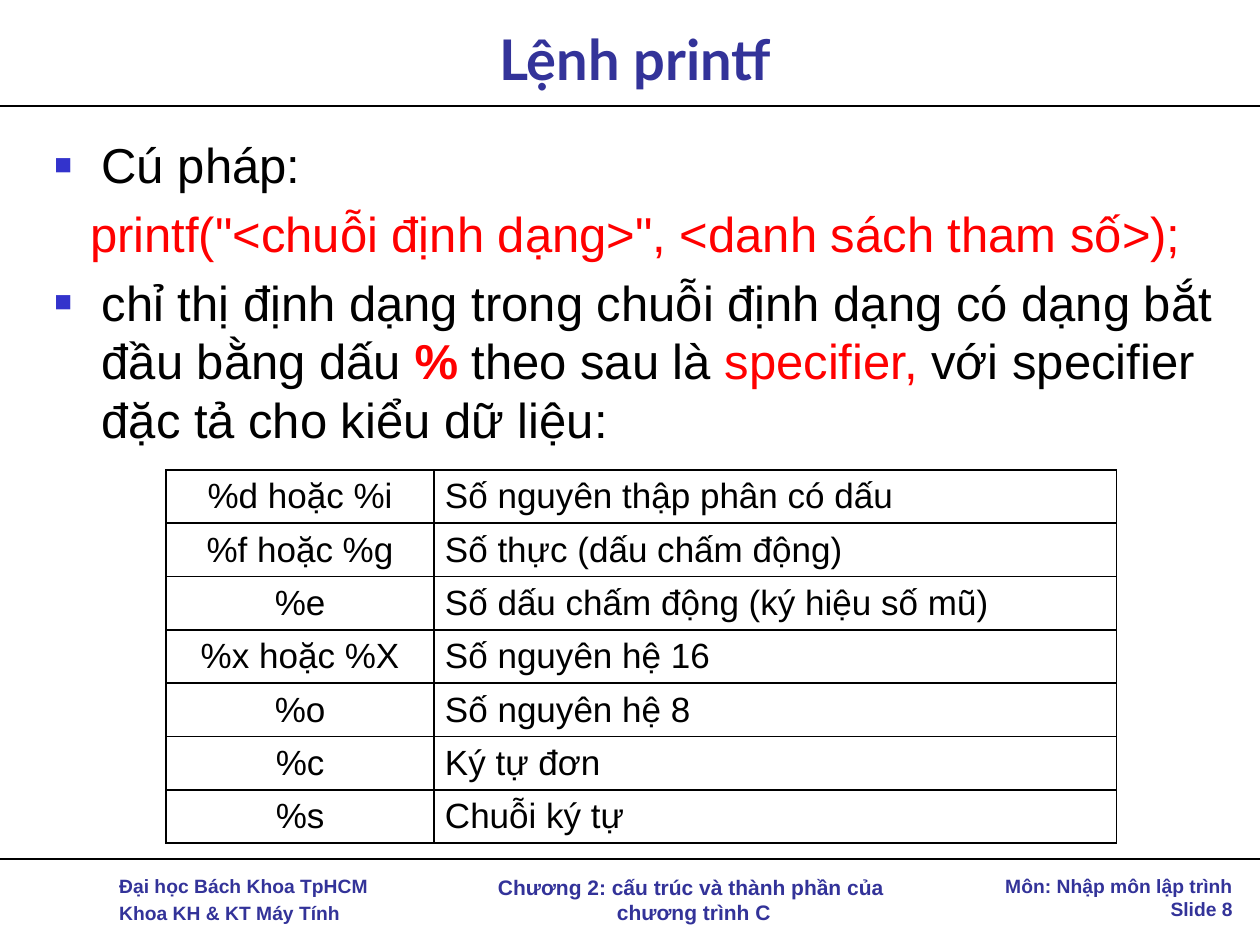
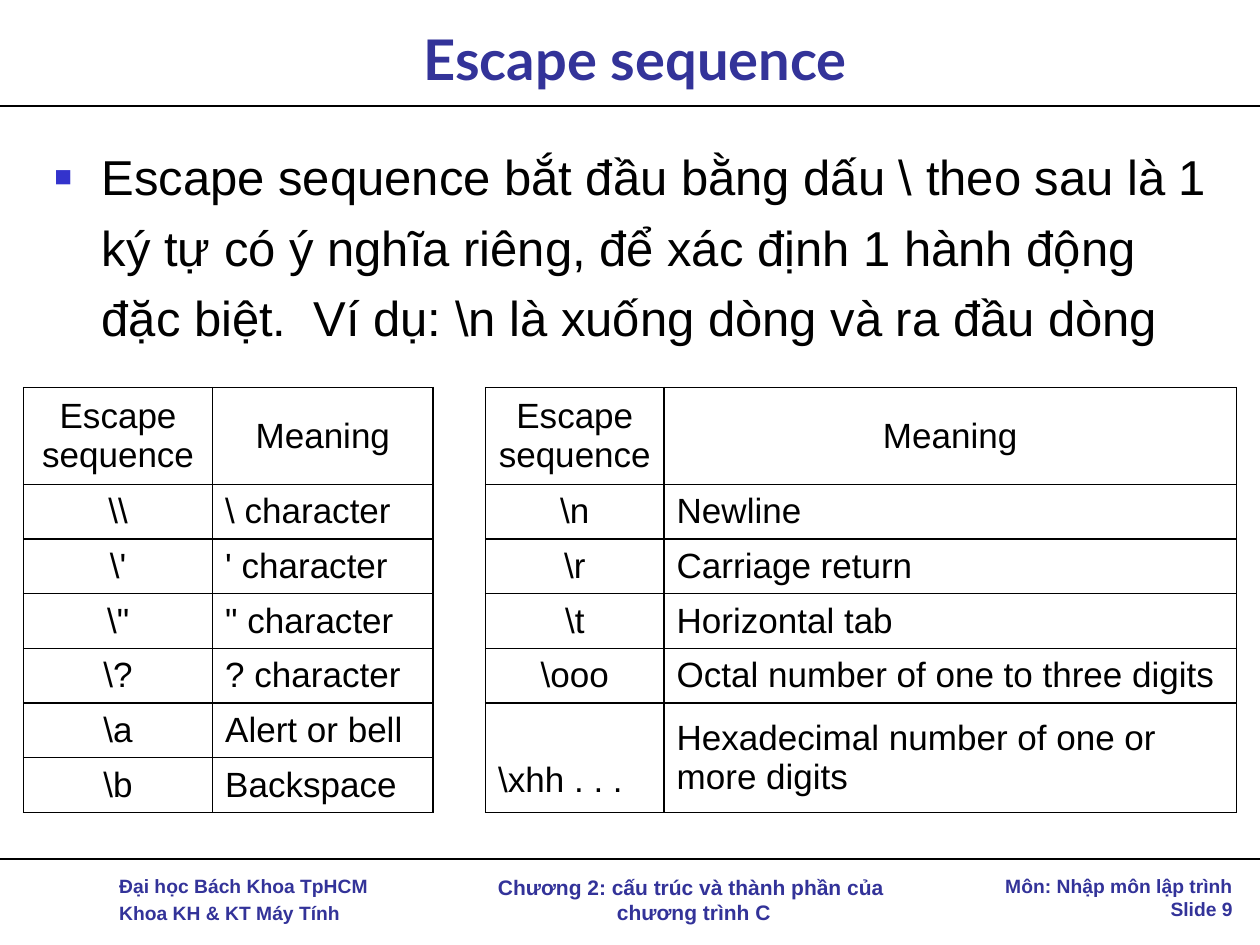
from lxml.etree import SubElement
from pptx import Presentation
from pptx.dml.color import RGBColor
from pptx.enum.text import MSO_ANCHOR, PP_ALIGN
from pptx.oxml import parse_xml
from pptx.oxml.ns import nsdecls, qn
from pptx.util import Pt

# Shared colours, fonts and sizes
NAVY = RGBColor(0x33, 0x33, 0x99)
BLUE = RGBColor(0x33, 0x33, 0xCC)
RED = RGBColor(0xFF, 0, 0)
BLACK = RGBColor(0, 0, 0)
SANS, HEAD = "Arial", "Lato"
WIDE, HIGH = 720, 540
LEFT, CENTER, RIGHT = PP_ALIGN.LEFT, PP_ALIGN.CENTER, PP_ALIGN.RIGHT

# Slide contents
SPECS = [
    ("%d hoặc %i", "Số nguyên thập phân có dấu"),
    ("%f hoặc %g", "Số thực (dấu chấm động)"),
    ("%e", "Số dấu chấm động (ký hiệu số mũ)"),
    ("%x hoặc %X", "Số nguyên hệ 16"),
    ("%o", "Số nguyên hệ 8"),
    ("%c", "Ký tự đơn"),
    ("%s", "Chuỗi ký tự"),
]
CODES = [
    ("Escape sequence", "Meaning", "", "Escape sequence", "Meaning"),
    (r"\\", r"\ character", "", r"\n", "Newline"),
    (r"\'", "' character", "", r"\r", "Carriage return"),
    (r'\"', '" character', "", r"\t", "Horizontal tab"),
    (r"\?", "? character", "", r"\ooo", "Octal number of one to three digits"),
    (r"\a", "Alert or bell", "", r"\xhh . . .",
     "Hexadecimal number of one or more digits"),
    (r"\b", "Backspace", "", "", ""),
]


def style(run, size, color, bold=False, face=SANS):
    font = run.font
    font.name, font.size, font.bold = face, Pt(size), bold
    font.color.rgb = color


def space(para, percent=20):
    """Set the gap above a paragraph as a share of its line."""
    gap = SubElement(para._p.get_or_add_pPr(), qn("a:spcBef"))
    SubElement(gap, qn("a:spcPct"), val=str(percent * 1000))


def bullet(para):
    props = para._p.get_or_add_pPr()
    props.set("marL", str(Pt(27)))
    props.set("indent", str(Pt(-27)))
    tint = SubElement(props, qn("a:buClr"))
    SubElement(tint, qn("a:srgbClr"), val=str(BLUE))
    SubElement(props, qn("a:buSzPct"), val="60000")
    SubElement(props, qn("a:buFont"), typeface=SANS)
    SubElement(props, qn("a:buChar"), char="■")


def add_box(slide, box):
    frame = slide.shapes.add_textbox(*map(Pt, box)).text_frame
    frame.word_wrap = True
    return frame


def add_rule(slide, top):
    line = slide.shapes.add_connector(1, 0, Pt(top), Pt(WIDE), Pt(top))
    line.line.color.rgb = BLACK
    line.line.width = Pt(1)
    SubElement(line._element.spPr, qn("a:effectLst"))


def add_note(slide, box, lines, size, align, gap=False):
    """One block of the footer."""
    frame = add_box(slide, box)
    frame.text = "\n".join(lines)
    for i, para in enumerate(frame.paragraphs):
        para.alignment = align
        if gap and i:
            space(para)
        style(para.runs[0], size, NAVY, True)


def add_foot(slide, number):
    top = 496
    add_rule(slide, top - 5)
    add_note(slide, (61, top, 168, 37),
             ["Đại học Bách Khoa TpHCM", "Khoa KH & KT Máy Tính"],
             11, LEFT, True)
    add_note(slide, (229, top, 335, 36),
             ["Chương 2: cấu trúc và thành phần của ", "chương trình C"],
             12, CENTER)
    add_note(slide, (564, top, 147.5, 34),
             ["Môn: Nhập môn lập trình", f"Slide {number}"], 11, RIGHT)


def add_page(deck, title, number):
    """A titled slide with both rules and the footer."""
    slide = deck.slides.add_slide(deck.slide_layouts[5])
    head = slide.shapes.title
    head.left, head.top, head.width, head.height = map(Pt, (24, 6, 678, 54))
    frame = head.text_frame
    frame.text = title
    frame.vertical_anchor = MSO_ANCHOR.MIDDLE
    frame.paragraphs[0].alignment = CENTER
    style(frame.paragraphs[0].runs[0], 32, NAVY, True, HEAD)
    add_rule(slide, 60.5)
    add_foot(slide, number)
    return slide


def add_body(slide, box, items, pitch=None):
    """Items are (has bullet, [(text, colour, bold), ...])."""
    frame = add_box(slide, box)
    for i, (dot, parts) in enumerate(items):
        para = frame.add_paragraph() if i else frame.paragraphs[0]
        para.alignment = LEFT if dot else CENTER
        if pitch:
            para.line_spacing = pitch
        space(para)
        if dot:
            bullet(para)
        for text, color, bold in parts:
            run = para.add_run()
            run.text = text
            style(run, 28, color, bold)


def add_edges(cell, sides):
    """Draw the named sides of a cell and hide the others."""
    props = cell._tc.get_or_add_tcPr()
    for i, side in enumerate("LRTB"):
        paint = "<a:noFill/>"
        if side in sides:
            paint = f'<a:solidFill><a:srgbClr val="{BLACK}"/></a:solidFill>'
        props.insert(i, parse_xml(
            f'<a:ln{side} {nsdecls("a")} w="{Pt(1)}">{paint}</a:ln{side}>'))


def fill_cell(cell, text, align, pad, sides):
    cell.text = text
    cell.vertical_anchor = MSO_ANCHOR.MIDDLE
    (cell.margin_left, cell.margin_right,
     cell.margin_top, cell.margin_bottom) = map(Pt, pad)
    para = cell.text_frame.paragraphs[0]
    para.alignment = align
    para.font.size = Pt(20)
    for run in para.runs:
        style(run, 20, BLACK)
    cell.fill.background()
    add_edges(cell, sides)


def add_grid(slide, spot, cols, rows, data, look):
    """look(row, column) gives the alignment, margins and sides of a cell."""
    frame = slide.shapes.add_table(
        len(rows), len(cols), *map(Pt, (*spot, sum(cols), sum(rows))))
    table = frame.table
    table.first_row = table.horz_banding = False
    for col, width in zip(table.columns, cols):
        col.width = Pt(width)
    for row, height in zip(table.rows, rows):
        row.height = Pt(height)
    for r, line in enumerate(data):
        for c, text in enumerate(line):
            fill_cell(table.cell(r, c), text, *look(r, c))
    return table


def spec_look(r, c):
    pad = (6.3 if c else 0.7, 0.7, 0.7, 0.7)
    return LEFT if c else CENTER, pad, "LRTB"


def code_look(r, c):
    align = CENTER if r == 0 or c in (0, 3) else LEFT
    return align, (7.2, 7.2, 3.6, 3.6), "LR" if c == 2 else "LRTB"


def printf_page(deck):
    slide = add_page(deck, "Lệnh printf", 8)
    add_body(slide, (24, 73.5, 678, 407), [
        (True, [("Cú pháp:", BLACK, False)]),
        (False, [('printf("<chuỗi định dạng>", <danh sách tham số>);',
                  RED, False)]),
        (True, [("chỉ thị định dạng trong chuỗi định dạng có dạng "
                 "bắt đầu bằng dấu ", BLACK, False),
                ("%", RED, True),
                (" theo sau là ", BLACK, False),
                ("specifier, ", RED, False),
                ("với specifier đặc tả cho kiểu dữ liệu:", BLACK, False)]),
    ])
    add_grid(slide, (95, 268.5), (153, 390), [30.5] * len(SPECS),
             SPECS, spec_look)


def escape_page(deck):
    slide = add_page(deck, "Escape sequence", 9)
    text = (r"Escape sequence bắt đầu bằng dấu \ theo sau là 1 ký tự có ý "
            r"nghĩa riêng, để xác định 1 hành động đặc biệt.  Ví dụ: \n là "
            "xuống dòng và ra đầu dòng")
    add_body(slide, (24, 73.5, 678, 131), [(True, [(text, BLACK, False)])], 1.2)
    table = add_grid(slide, (13.5, 221.5), (108, 126, 30, 102, 327),
                     [52] + [29.6] * 6, CODES, code_look)
    # The hexadecimal row is two rows high, its code on the lower line
    for c in (3, 4):
        table.cell(5, c).merge(table.cell(6, c))
    code = table.cell(5, 3)
    code.text_frame.paragraphs[0].alignment = LEFT
    code.vertical_anchor = MSO_ANCHOR.BOTTOM
    code.margin_bottom = Pt(7)


def main():
    deck = Presentation()
    deck.slide_width, deck.slide_height = Pt(WIDE), Pt(HIGH)
    printf_page(deck)
    escape_page(deck)
    deck.save("out.pptx")


if __name__ == "__main__":
    main()
